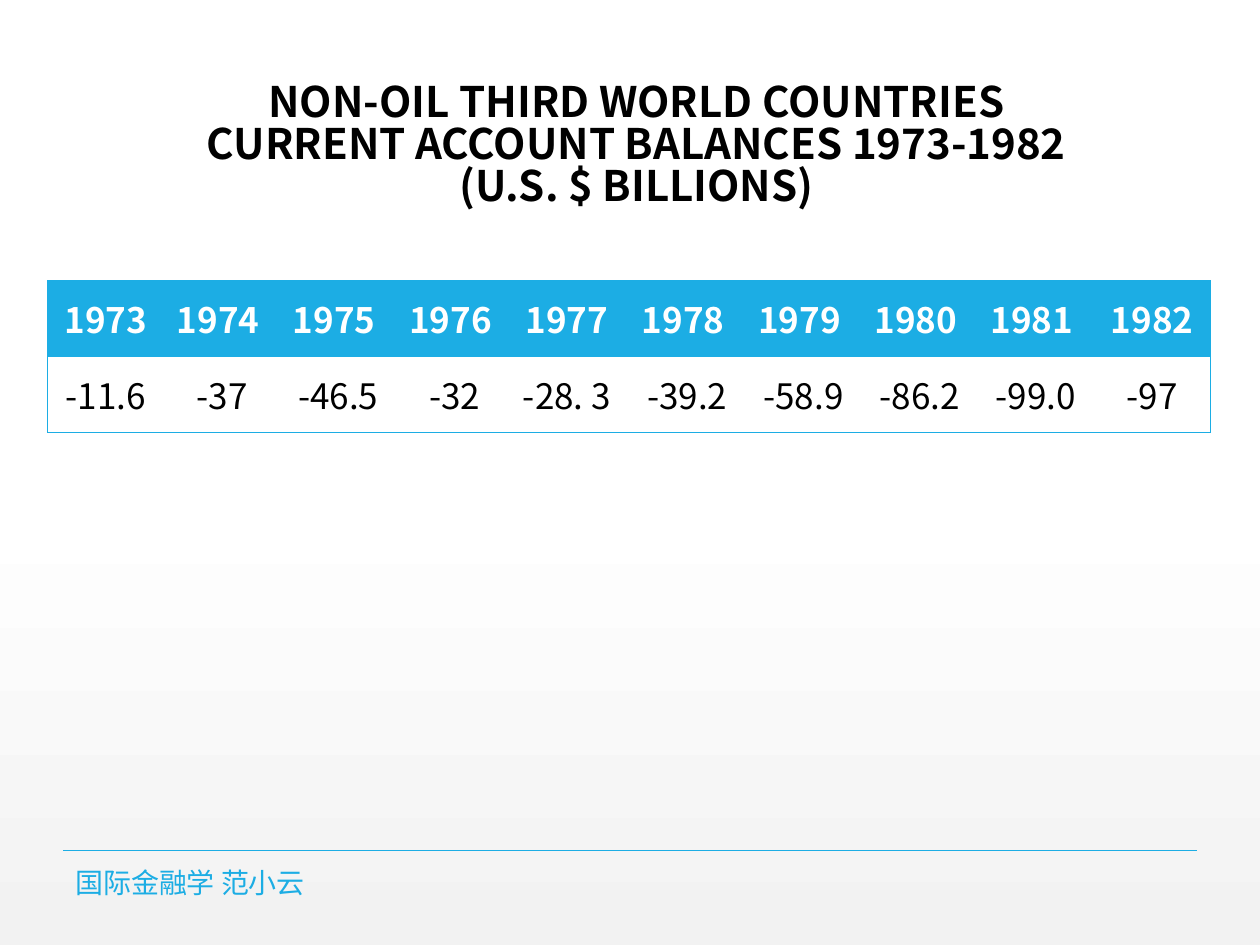
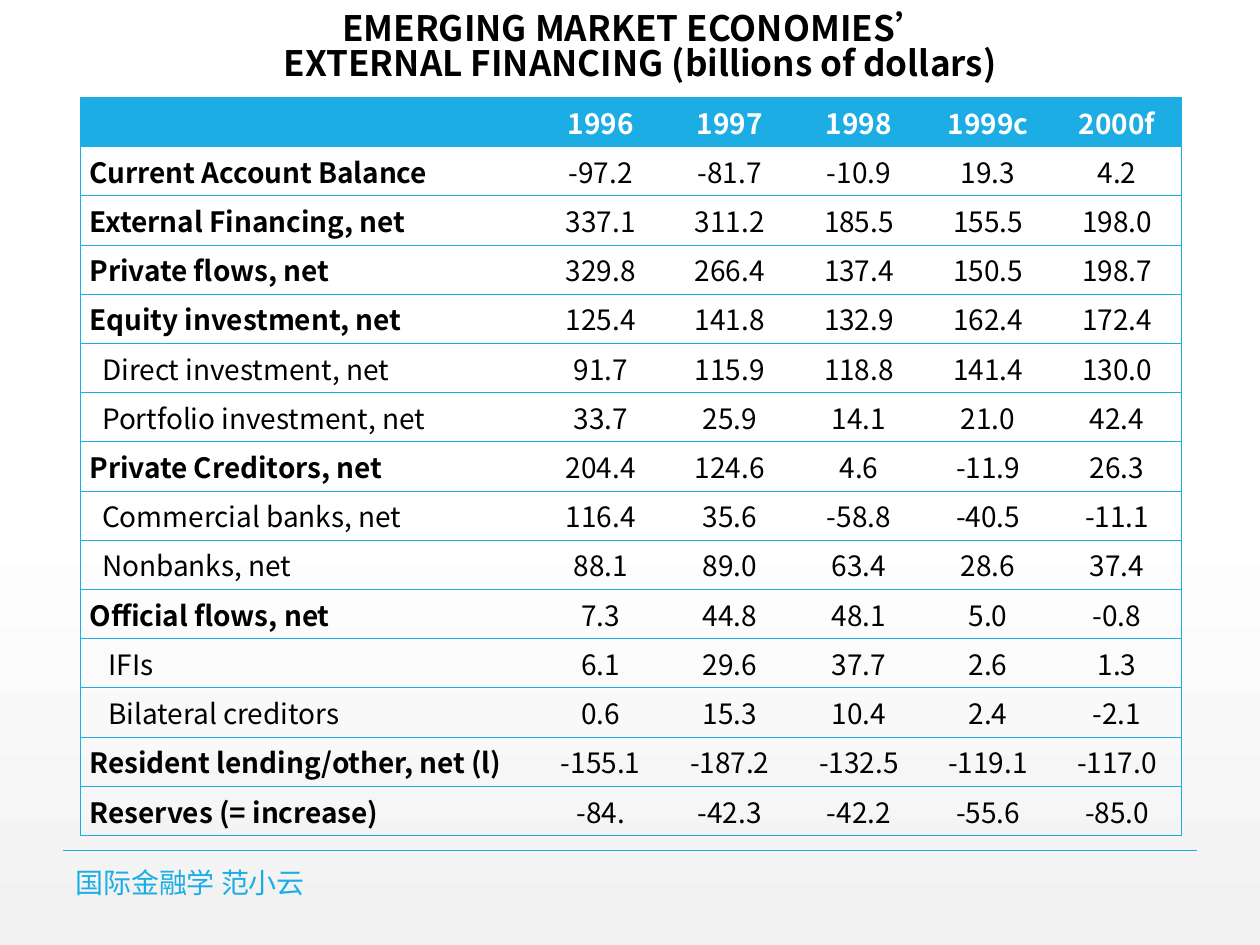
from copy import deepcopy

from lxml import etree
from pptx import Presentation
from pptx.dml.color import RGBColor
from pptx.enum.shapes import MSO_CONNECTOR
from pptx.enum.text import MSO_ANCHOR, MSO_AUTO_SIZE, PP_ALIGN
from pptx.oxml.ns import qn
from pptx.util import Pt

LEFT, CENTER = PP_ALIGN.LEFT, PP_ALIGN.CENTER
MIDDLE = MSO_ANCHOR.MIDDLE
NO_AUTOFIT = MSO_AUTO_SIZE.NONE
STRAIGHT = MSO_CONNECTOR.STRAIGHT

FONT = "Noto Sans CJK SC"
ACCENT, BLACK, WHITE, GREY = "1CADE4", "000000", "FFFFFF", "F2F2F2"
TITLE_ONLY = 5
FOOTER = "国际金融学 范小云"
RULE_BOX = (36, 486, 648, 0)
FOOTER_BOX = (36, 495.36, 362.16, 17.28)

BALANCES = [
    ["1973", "1974 ", "1975 ", "1976 ", "1977 ", "1978 ", "1979 ", "1980 ", "1981 ", "1982"],
    ["-11.6", "-37", "-46.5", "-32", "-28. 3 ", "-39.2", "-58.9", "-86.2", "-99.0", "-97"],
]

FINANCING_YEARS = ["", "1996", "1997", "1998", "1999c", "2000f"]
# Indent of the label in points (0 marks a bold heading), label, values
FINANCING = [
    (0, "Current Account Balance", "-97.2 -81.7 -10.9 19.3 4.2"),
    (0, "External Financing, net", "337.1 311.2 185.5 155.5 198.0"),
    (0, "Private flows, net", "329.8 266.4 137.4 150.5 198.7"),
    (0, "Equity investment, net", "125.4 141.8 132.9 162.4 172.4"),
    (7.2, "Direct investment, net", "91.7 115.9 118.8 141.4 130.0"),
    (7.2, "Portfolio investment, net", "33.7 25.9 14.1 21.0 42.4"),
    (0, "Private Creditors, net", "204.4 124.6 4.6 -11.9 26.3"),
    (7.2, "Commercial banks, net", "116.4 35.6 -58.8 -40.5 -11.1"),
    (7.2, "Nonbanks, net", "88.1 89.0 63.4 28.6 37.4"),
    (0, "Official flows, net", "7.3 44.8 48.1 5.0 -0.8"),
    (10.8, "IFIs", "6.1 29.6 37.7 2.6 1.3"),
    (10.8, "Bilateral creditors", "0.6 15.3 10.4 2.4 -2.1"),
    (0, "Resident lending/other, net (l)", "-155.1 -187.2 -132.5 -119.1 -117.0"),
    (0, "Reserves (= increase)", "-84. -42.3 -42.2 -55.6 -85.0"),
]


def color(hex_code):
    return RGBColor.from_string(hex_code)


def points(box):
    return [Pt(length) for length in box]


def write(frame, text, size, ink=BLACK, bold=False, align=LEFT, spacing=None):
    """Fill a text frame; \\n starts a paragraph and \\v breaks a line."""
    frame.text = text
    for para in frame.paragraphs:
        para.alignment = align
        para.line_spacing = spacing
        for span in para.runs:
            span.font.size = Pt(size)
            span.font.bold = bold
            span.font.color.rgb = color(ink)
            span.font.name = FONT
            east_asian = etree.SubElement(span.font._element, qn("a:ea"))
            east_asian.set("typeface", FONT)


def set_background(master):
    """White down to 53 %, then fading to light grey at the bottom."""
    fill = master.background.fill
    fill.gradient()
    fill.gradient_angle = 270
    first = fill.gradient_stops[0]._gs
    first.addnext(deepcopy(first))
    for stop, (position, tone) in zip(
            fill.gradient_stops, [(0, WHITE), (0.53, WHITE), (1, GREY)]):
        stop.position = position
        stop.color.rgb = color(tone)


def add_rule(page, box):
    left, top, width, height = points(box)
    rule = page.shapes.add_connector(STRAIGHT, left, top, left + width, top + height)
    rule.line.color.rgb = color(ACCENT)
    rule.line.width = Pt(1)
    etree.SubElement(rule._element.spPr, qn("a:effectLst"))


def add_footer(page, box):
    frame = page.shapes.add_textbox(*points(box)).text_frame
    frame.word_wrap = True
    frame.vertical_anchor = MIDDLE
    write(frame, FOOTER, 16, ink=ACCENT)


def place_title(page, box, text, size):
    title = page.shapes.title
    title.left, title.top, title.width, title.height = points(box)
    frame = title.text_frame
    frame.auto_size = NO_AUTOFIT
    frame.vertical_anchor = MIDDLE
    write(frame, text, size, bold=True, align=CENTER, spacing=0.83)


def add_page(deck, title_box, title, title_size):
    page = deck.slides.add_slide(deck.slide_layouts[TITLE_ONLY])
    add_rule(page, RULE_BOX)
    add_footer(page, FOOTER_BOX)
    place_title(page, title_box, title, title_size)
    return page


def set_borders(cell, sides):
    """Draw the given sides (out of L, R, T, B) and clear the others."""
    properties = cell._tc.get_or_add_tcPr()
    for index, side in enumerate("LRTB"):
        line = etree.Element(qn(f"a:ln{side}"), w=str(Pt(0.5)))
        if side in sides:
            fill = etree.SubElement(line, qn("a:solidFill"))
            etree.SubElement(fill, qn("a:srgbClr"), val=ACCENT)
        else:
            etree.SubElement(line, qn("a:noFill"))
        properties.insert(index, line)


def add_table(page, box, rows, size, first_width, indents=None):
    """Table with a filled header; indents turns column one into labels."""
    left, top, width, height = box
    row_count, column_count = len(rows), len(rows[0])
    table = page.shapes.add_table(row_count, column_count, *points(box)).table
    table.horz_banding = False
    other_width = (width - first_width) / (column_count - 1)
    for index, column in enumerate(table.columns):
        column.width = Pt(other_width if index else first_width)
    for row_index, values in enumerate(rows):
        table.rows[row_index].height = Pt(height / row_count)
        header = row_index == 0
        for column_index, value in enumerate(values):
            cell = table.cell(row_index, column_index)
            label = indents and not header and column_index == 0
            indent = indents[row_index - 1] if label else 0
            cell.margin_left, cell.margin_right = Pt(5.2 + indent), Pt(5.2)
            cell.margin_top = cell.margin_bottom = 0
            cell.vertical_anchor = MIDDLE
            write(cell.text_frame, value, size, ink=WHITE if header else BLACK,
                  bold=bool(header or (label and not indent)),
                  align=LEFT if label else CENTER)
            if header:
                cell.fill.solid()
                cell.fill.fore_color.rgb = color(ACCENT)
            else:
                cell.fill.background()
            sides = "TB"
            if column_index == 0:
                sides += "L"
            if column_index == column_count - 1:
                sides += "R"
            set_borders(cell, sides)


def build_balances(deck):
    page = add_page(
        deck, (36, 36.72, 655.2, 94.32),
        "NON-OIL THIRD WORLD COUNTRIES\vCURRENT ACCOUNT BALANCES 1973-1982\n"
        "(U.S. $ BILLIONS)", 24)
    add_table(page, (27.2, 160.3, 664.6, 86.8), BALANCES, 20, first_width=66.46)


def build_financing(deck):
    page = add_page(
        deck, (36, 0, 655.2, 55.44),
        "EMERGING MARKET ECONOMIES’\v EXTERNAL FINANCING (billions of dollars)", 20)
    rows = [FINANCING_YEARS]
    rows += [[label, *values.split()] for _, label, values in FINANCING]
    add_table(page, (46, 55.6, 629.2, 422), rows, 16, first_width=260.4,
              indents=[indent for indent, _, _ in FINANCING])


def main():
    deck = Presentation()
    deck.slide_width, deck.slide_height = Pt(720), Pt(540)
    set_background(deck.slide_master)
    build_balances(deck)
    build_financing(deck)
    deck.save("out.pptx")


if __name__ == "__main__":
    main()
